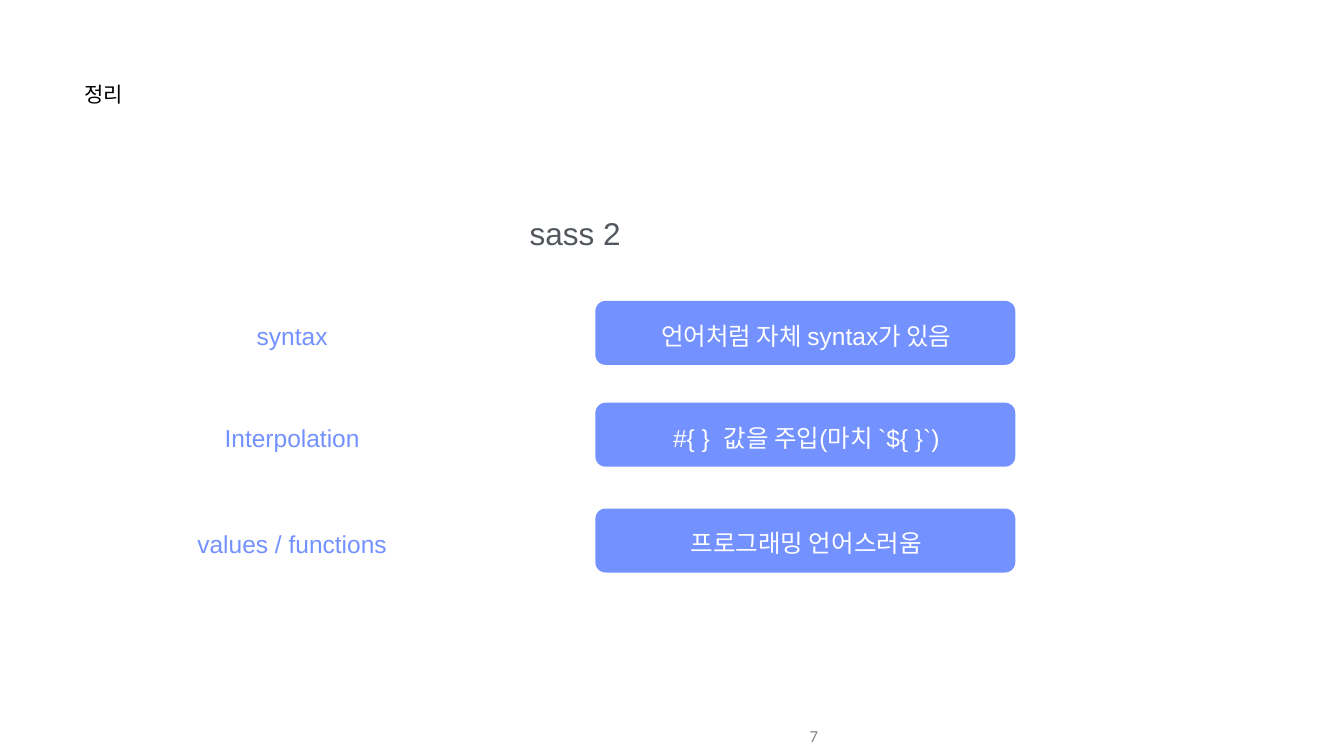
import pptx
import pptx.dml.color
import pptx.enum.shapes
import pptx.enum.text
import pptx.util

PX = 9144  # EMU in one px, 100 px to the inch
ALIGN = pptx.enum.text.PP_ALIGN
ANCHOR = pptx.enum.text.MSO_ANCHOR


def emu(*sizes):
    return [pptx.util.Emu(size * PX) for size in sizes]


def color(code):
    return pptx.dml.color.RGBColor.from_string(code)


class Deck:
    blue, white, black, gray, pale = "7391FF", "FFFFFF", "000000", "53585F", "888888"
    font = "Arial"

    def __init__(self, wide, high):
        self.file = pptx.Presentation()
        self.file.slide_width, self.file.slide_height = emu(wide, high)
        self.slide = self.file.slides.add_slide(self.file.slide_layouts[5])

    def text(self, shape, words, size, ink, align=ALIGN.CENTER,
             anchor=ANCHOR.MIDDLE, inset=(1, 1, 1, 1), font=font):
        """Set the one paragraph of a shape; inset is left, top, right, bottom."""
        frame = shape.text_frame
        frame.word_wrap = True
        frame.auto_size = pptx.enum.text.MSO_AUTO_SIZE.NONE
        frame.vertical_anchor = anchor
        (frame.margin_left, frame.margin_top,
         frame.margin_right, frame.margin_bottom) = emu(*inset)
        line = frame.paragraphs[0]
        line.alignment = align
        run = line.add_run()
        run.text = words
        run.font.name = font
        run.font.size = pptx.util.Pt(size)
        run.font.color.rgb = color(ink)

    def title(self, box, words):
        shape = self.slide.shapes.title
        shape.left, shape.top, shape.width, shape.height = emu(*box)
        self.text(shape, words, 30, self.black, ALIGN.LEFT, ANCHOR.TOP)

    def label(self, box, words, size, ink, **style):
        shape = self.slide.shapes.add_textbox(*emu(*box))
        self.text(shape, words, size, ink, **style)

    def card(self, box, words):
        kind = pptx.enum.shapes.MSO_SHAPE.ROUNDED_RECTANGLE
        shape = self.slide.shapes.add_shape(kind, *emu(*box))
        shape.adjustments[0] = 0.16
        shape.shadow.inherit = False
        shape.fill.solid()
        shape.fill.fore_color.rgb = color(self.blue)
        shape.line.fill.background()
        self.text(shape, words, 35, self.white, inset=(5, 11, 1, 1))


def main():
    deck = Deck(2666, 1500)
    deck.title((167, 160, 486, 118), "정리")
    deck.label((264, 424, 1754, 79), "sass 2", 45, deck.gray, anchor=ANCHOR.TOP)

    rows = [
        (597, "syntax", "언어처럼 자체 syntax가 있음"),
        (799, "Interpolation", "#{ }  값을 주입(마치 `${ }`)"),
        (1009, "values / functions", "프로그래밍 언어스러움"),
    ]
    for top, term, note in rows:
        deck.label((267, top + 38, 625, 62), term, 35, deck.blue)
        deck.card((1181, top, 833, 127), note)

    deck.label((1033, 1421, 600, 79), "7", 24, deck.pale, align=ALIGN.RIGHT,
               inset=(10, 5, 10, 5), font="Calibri")
    deck.file.save("out.pptx")


if __name__ == "__main__":
    main()
